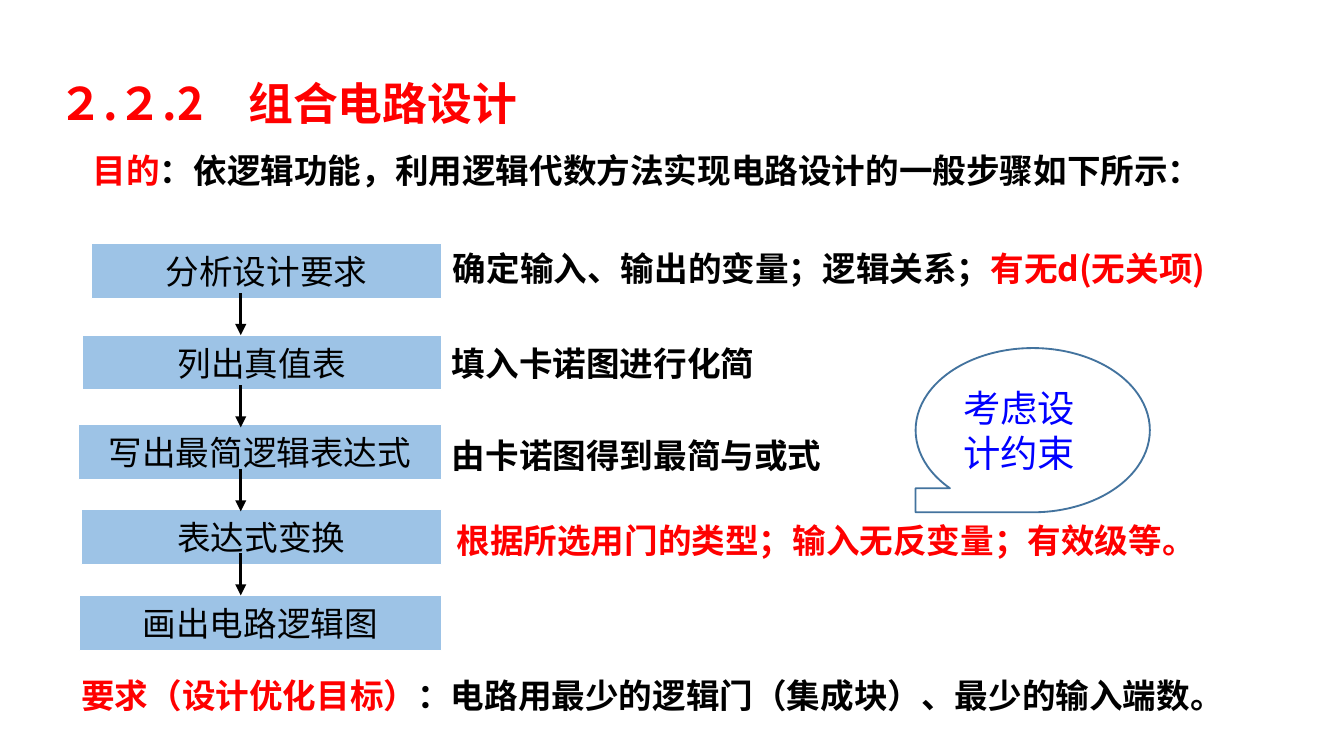
"""Build the slide on the design steps of combinational circuits."""
from lxml import etree
from pptx import Presentation, util as u
from pptx.dml.color import RGBColor
from pptx.enum import lang, shapes, text
from pptx.oxml.ns import qn

THEME = {
    "cjk": "Noto Sans CJK JP", "latin": "Calibri",
    "title": 24, "body": 18, "callout": 20,
    "red": "FF0000", "black": "000000", "blue": "0000FF",
    "white": "FFFFFF", "step": "9DC3E6", "outline": "43739E",
}

TITLE = [("２.２.2　组合电路设计", "red")]
PURPOSE = [("目的", "red"), ("：依逻辑功能，利用逻辑代数方法实现电路设计的一般步骤如下所示：", "black")]
STEPS = [
    ("分析设计要求", 49, 130.5),
    ("列出真值表", 44, 179.5),
    ("写出最简逻辑表达式", 42, 227.5),
    ("表达式变换", 43.5, 273),
    ("画出电路逻辑图", 42.5, 319),
]
NOTES = [
    ([("要求（设计优化目标）", "red"), ("：电路用最少的逻辑门（集成块）、最少的输入端数。", "black")],
     (36.5, 358, 680, 29)),
    ([("确定输入、输出的变量；逻辑关系；", "black"), ("有无d(无关项)", "red")], (235.5, 129, 445, 29)),
    ([("填入卡诺图进行化简", "black")], (235, 180, 216, 29)),
    ([("由卡诺图得到最简与或式", "black")], (235, 229.5, 282, 29)),
    ([("根据所选用门的类型；输入无反变量；有效级等。", "red")], (237.5, 275, 420, 29)),
]
CALLOUT = [("考虑设计约束", "blue")]
STEP_RIGHT, STEP_HEIGHT = 236.5, 29.5
ARROW_X, ARROW_STARTS, ARROW_LENGTH = 129, (157, 206.5, 251.5, 296.5), 22.5


def color(name):
    return RGBColor.from_string(THEME[name])


def place(shape, area):
    shape.left, shape.top, shape.width, shape.height = map(u.Pt, area)


def write(shape, spans, size="body", face="cjk", bold=True, align=text.PP_ALIGN.LEFT,
          anchor=text.MSO_ANCHOR.TOP):
    frame = shape.text_frame
    frame.word_wrap = True
    frame.auto_size = text.MSO_AUTO_SIZE.NONE
    frame.vertical_anchor = anchor
    para = frame.paragraphs[0]
    para.alignment = align
    para.space_before = u.Pt(0)
    for words, tint in spans:
        span = para.add_run()
        span.text = words
        font = span.font
        font.size, font.bold, font.name = u.Pt(THEME[size]), bold, THEME[face]
        font.color.rgb = color(tint)
        font.language_id = lang.MSO_LANGUAGE_ID.SIMPLIFIED_CHINESE
        east = etree.Element(qn("a:ea"), typeface=THEME[face])
        font._element.find(qn("a:latin")).addnext(east)
    return para


def add_filled(page, kind, area, fill, line, weight):
    shape = page.shapes.add_shape(kind, *map(u.Pt, area))
    shape.shadow.inherit = False
    shape.fill.solid()
    shape.fill.fore_color.rgb = color(fill)
    shape.line.color.rgb = color(line)
    shape.line.width = u.Pt(weight)
    return shape


def add_arrow(page, top):
    arrow = page.shapes.add_connector(
        shapes.MSO_CONNECTOR.STRAIGHT,
        *map(u.Pt, (ARROW_X, top, ARROW_X, top + ARROW_LENGTH)))
    arrow.line.color.rgb = color("black")
    arrow.line.width = u.Pt(1.5)
    etree.SubElement(arrow.line._get_or_add_ln(), qn("a:tailEnd"), type="triangle")
    etree.SubElement(arrow._element.spPr, qn("a:effectLst"))


def main():
    deck = Presentation()
    deck.slide_width, deck.slide_height = u.Pt(720), u.Pt(405)
    page = deck.slides.add_slide(deck.slide_layouts[1])

    title, body = page.placeholders
    place(title, (24, 44, 618, 41))
    title.text_frame.margin_top = 0
    write(title, TITLE, "title").line_spacing = 0.9
    place(body, (42.5, 79, 616, 58))
    para = write(body, PURPOSE)
    para.line_spacing = 0.9
    props = para._p.get_or_add_pPr()
    props.set("marL", str(u.Pt(13.5)))
    props.set("indent", str(-u.Pt(13.5)))
    etree.SubElement(props, qn("a:buNone"))

    for words, left, top in STEPS:
        box = add_filled(page, shapes.MSO_SHAPE.RECTANGLE,
                         (left, top, STEP_RIGHT - left, STEP_HEIGHT), "step", "white", 0.75)
        write(box, [(words, "black")], bold=False, align=text.PP_ALIGN.CENTER,
              anchor=text.MSO_ANCHOR.MIDDLE)

    for spans, area in NOTES:
        write(page.shapes.add_textbox(*map(u.Pt, area)), spans)

    for top in ARROW_STARTS:
        add_arrow(page, top)

    callout = add_filled(page, shapes.MSO_SHAPE.FLOWCHART_SEQUENTIAL_ACCESS_STORAGE,
                         (490.5, 186.5, 125.5, 88), "white", "outline", 1)
    callout._element.spPr.find(qn("a:xfrm")).set("flipH", "1")
    write(callout, CALLOUT, "callout", "latin", False, anchor=text.MSO_ANCHOR.MIDDLE)

    deck.save("out.pptx")


if __name__ == "__main__":
    main()
